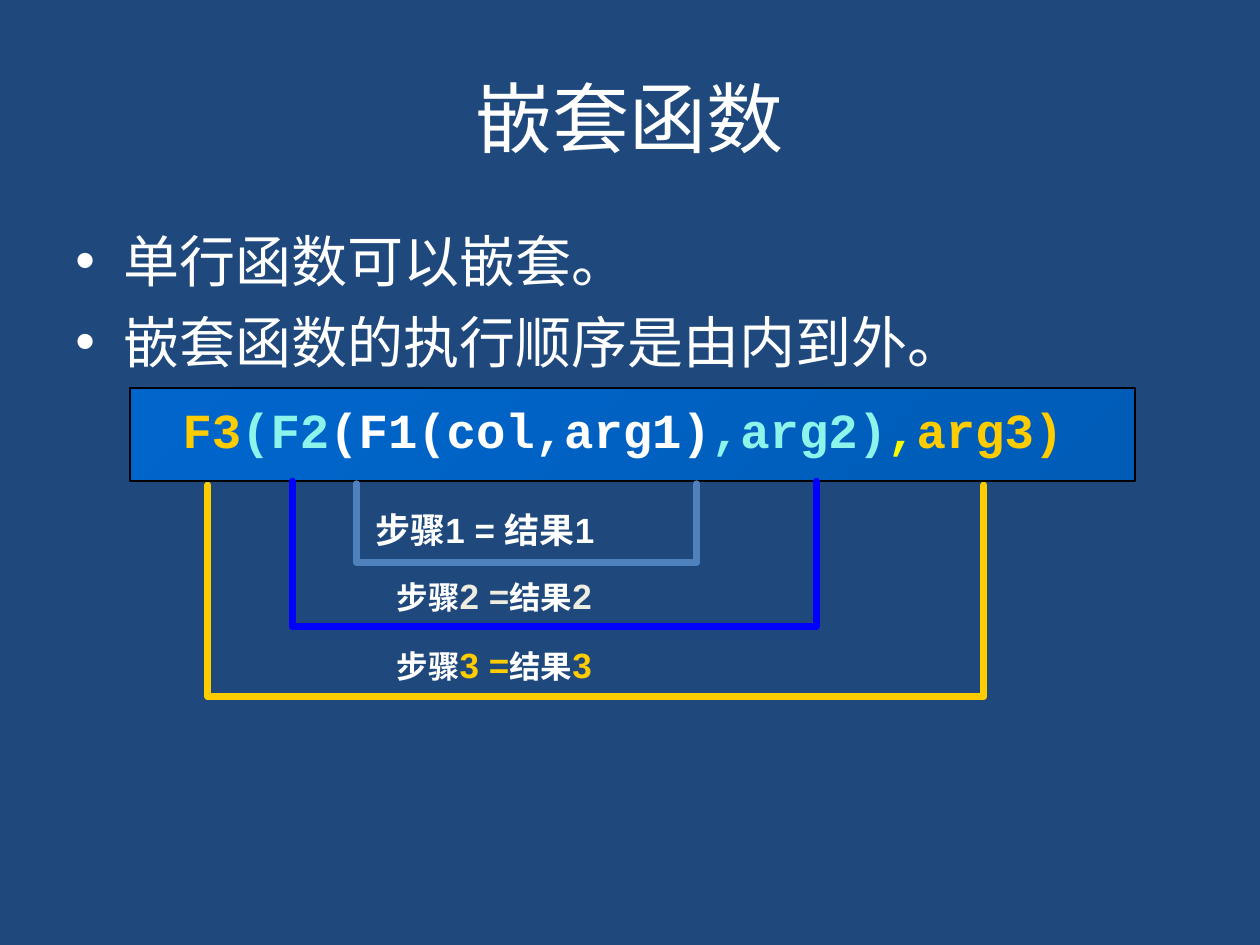
from dataclasses import dataclass

from lxml.etree import SubElement
from pptx import Presentation
from pptx.dml.color import RGBColor
from pptx.enum.shapes import MSO_SHAPE as Shape
from pptx.enum.text import MSO_ANCHOR as Anchor, MSO_AUTO_SIZE as AutoSize, PP_ALIGN as Align
from pptx.oxml.ns import qn
from pptx.util import Inches, Pt

COLS, ROWS = 100, 75
WHITE, GOLD, AQUA, CREAM = "FFFFFF", "FFCC00", "8CF4EA", "EEECE1"

prs = Presentation()
prs.slide_width, prs.slide_height = Inches(10), Inches(7.5)


@dataclass
class Run:
    text: str
    size: float
    color: str


@dataclass
class Bracket:
    left: float
    right: float
    top: float
    bottom: float
    color: str


@dataclass
class Label:
    col: float
    row: float
    width: float
    runs: list[Run]


def x(cols: float) -> int:
    return round(prs.slide_width * cols / COLS)


def y(rows: float) -> int:
    return round(prs.slide_height * rows / ROWS)


def rgb(color: str) -> RGBColor:
    return RGBColor.from_string(color)


def style(r, size: float, color: str, font: str, bold: bool = False) -> None:
    r.font.size, r.font.name, r.font.bold = Pt(size), font, bold
    r.font.color.rgb = rgb(color)


def place(sp, col: float, row: float, width: float, height: float) -> None:
    sp.left, sp.top, sp.width, sp.height = x(col), y(row), x(width), y(height)


def add_title(slide, text: str) -> None:
    sp = slide.shapes.title
    place(sp, 5, 3, 90, 12.5)
    tf = sp.text_frame
    tf.text, tf.vertical_anchor = text, Anchor.MIDDLE
    p = tf.paragraphs[0]
    p.alignment = Align.CENTER
    style(p.runs[0], 44, WHITE, "Calibri")


def add_bullets(slide, lines: list[str]) -> None:
    tf = slide.shapes.add_textbox(x(5), y(17.5), x(90), y(49.5)).text_frame
    tf.word_wrap = True
    tf.text = "\n".join(lines)
    for p in tf.paragraphs:
        p.space_before = Pt(8)
        pPr = p._p.get_or_add_pPr()
        pPr.set("marL", str(Inches(0.38)))
        pPr.set("indent", str(-Inches(0.38)))
        SubElement(pPr, qn("a:buFont"), typeface="Arial")
        SubElement(pPr, qn("a:buChar"), char="•")
        style(p.runs[0], 32, WHITE, "Calibri")


def add_bracket(slide, b: Bracket) -> None:
    left, right, top, bottom = x(b.left), x(b.right), y(b.top), y(b.bottom)
    builder = slide.shapes.build_freeform(left, top)
    builder.add_line_segments([(left, bottom), (right, bottom), (right, top)], close=False)
    sp = builder.convert_to_shape()
    sp.shadow.inherit = False
    sp.fill.background()
    sp.line.color.rgb, sp.line.width = rgb(b.color), Pt(4)
    ln = sp.line._get_or_add_ln()
    ln.set("cap", "rnd")
    SubElement(ln, qn("a:round"))


def add_panel(slide) -> None:
    sp = slide.shapes.add_shape(Shape.RECTANGLE, x(10.3), y(30.8), x(79.8), y(7.4))
    sp.shadow.inherit = False
    sp.fill.gradient()
    sp.fill.gradient_angle = 315
    for stop, position, color in zip(sp.fill.gradient_stops, (0, 1), ("0066CC", "005CB7")):
        stop.position, stop.color.rgb = position, rgb(color)
    sp.line.color.rgb, sp.line.width = rgb("000000"), Pt(1)


def add_label(slide, label: Label, font: str = "Arial", height: float = 4.3):
    tf = slide.shapes.add_textbox(x(label.col), y(label.row), x(label.width), y(height)).text_frame
    tf.word_wrap, tf.auto_size = False, AutoSize.SHAPE_TO_FIT_TEXT
    p = tf.paragraphs[0]
    for run in label.runs:
        r = p.add_run()
        r.text = run.text
        style(r, run.size, run.color, font, bold=True)
    return p


def step(number: int, row: float, color: str) -> Label:
    return Label(30.5, row, 19.4, [
        Run("步骤", 18, WHITE), Run(f"{number} =", 20, color),
        Run("结果", 18, WHITE), Run(str(number), 20, color)])


def main() -> None:
    slide = prs.slides.add_slide(prs.slide_layouts[5])
    slide.background.fill.solid()
    slide.background.fill.fore_color.rgb = rgb("1F497D")
    add_title(slide, "嵌套函数")
    add_bullets(slide, ["单行函数可以嵌套。", "嵌套函数的执行顺序是由内到外。"])

    add_bracket(slide, Bracket(16.5, 78.1, 38.5, 55.3, GOLD))
    add_panel(slide)
    add_bracket(slide, Bracket(23.2, 64.8, 38.2, 49.75, "0000FF"))
    add_bracket(slide, Bracket(28.3, 55.3, 38.4, 44.65, "4F81BD"))

    parts = [("F3", GOLD), ("(F2", AQUA), ("(F1(col,arg1)", WHITE),
             (",arg2)", AQUA), (",", "FAFD00"), ("arg3)", GOLD)]
    code = Label(13.5, 32.8, 71.9, [Run(text, 28, color) for text, color in parts])
    p = add_label(slide, code, "Courier New", 4.1)
    p.line_spacing, p.space_before = Pt(22), Pt(17.5)

    add_label(slide, Label(28.8, 39.9, 21.4, [Run("步骤1 = 结果1", 20, WHITE)]))
    add_label(slide, step(2, 45.1, CREAM))
    add_label(slide, step(3, 50.6, GOLD))
    prs.save("out.pptx")


if __name__ == "__main__":
    main()
